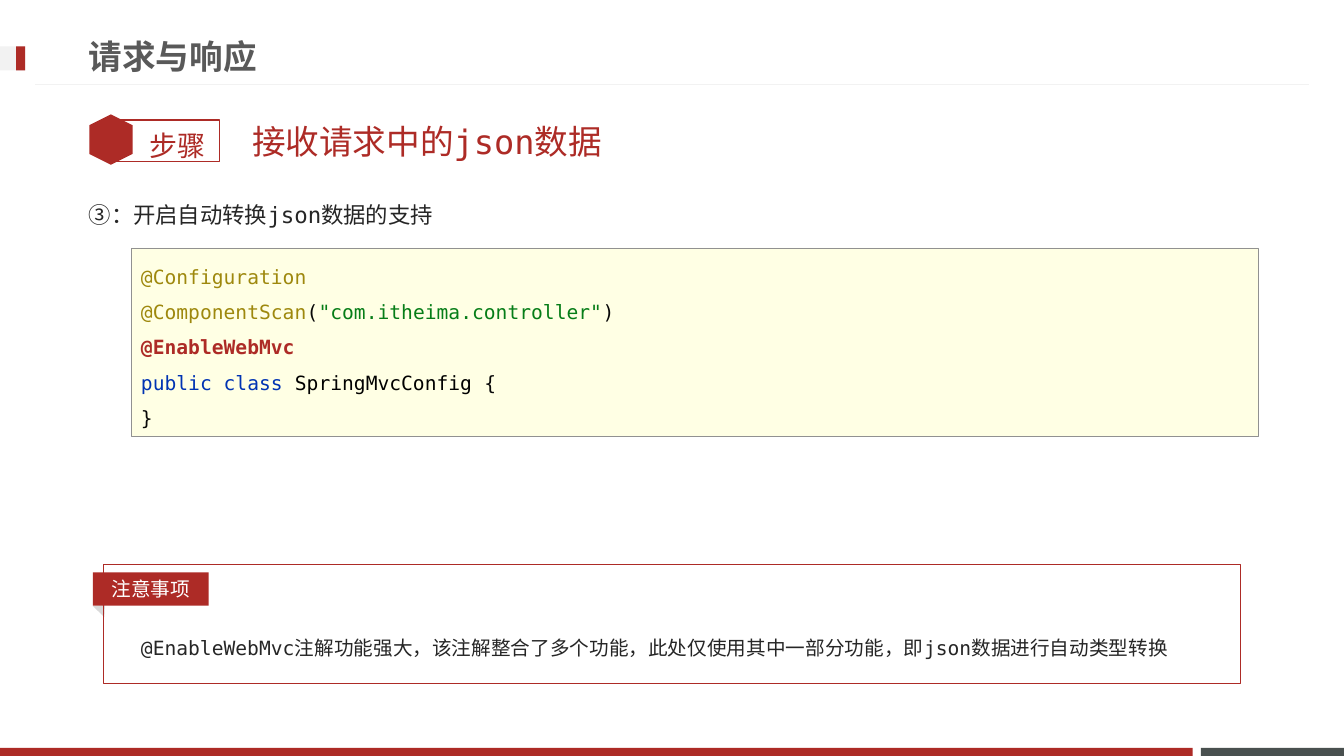
"""Build the slide on enabling automatic JSON conversion."""
import pptx
import pptx.dml.color
import pptx.enum.shapes
import pptx.enum.text
import pptx.oxml
import pptx.oxml.ns
import pptx.util

Inches = pptx.util.Inches
Pt = pptx.util.Pt
SHAPE = pptx.enum.shapes.MSO_SHAPE
ANCHOR = pptx.enum.text.MSO_ANCHOR
ALIGN = pptx.enum.text.PP_ALIGN
MONO = "DejaVu Sans Mono"
RED, INK, PALE, BLACK = "AD2B26", "262626", "F2F2F2", "080808"
OLIVE, GREEN, BLUE = "9E880D", "067D17", "0033B3"


def rgb(value):
    return pptx.dml.color.RGBColor.from_string(value)


def drawing_element(tag):
    namespace = pptx.oxml.ns.nsdecls("a")
    return pptx.oxml.parse_xml(f"<a:{tag} {namespace}/>")


class Deck:
    def __init__(self):
        self.prs = pptx.Presentation()
        self.prs.slide_width = Inches(13.33)
        self.prs.slide_height = Inches(7.5)
        self.slide = self.prs.slides.add_slide(self.prs.slide_layouts[3])

    def style(self, run, size, color, bold=False, font=MONO):
        run.font.name = font
        run.font.size = Pt(size)
        run.font.bold = bold
        run.font.color.rgb = rgb(color)

    def fill_text(self, sp, text, size, color, bold=False, font=MONO,
                  spacing=1, align=ALIGN.LEFT, anchor=ANCHOR.TOP):
        tf = sp.text_frame
        tf.text = text
        tf.word_wrap = True
        tf.auto_size = pptx.enum.text.MSO_AUTO_SIZE.NONE
        tf.vertical_anchor = anchor
        p = tf.paragraphs[0]
        p.alignment = align
        p.line_spacing = spacing
        self.style(p.runs[0], size, color, bold, font)
        return p

    def shape(self, kind, left, top, width, height, fill=None, line=None,
              weight=1, rotation=0):
        sp = self.slide.shapes.add_shape(
            kind, Inches(left), Inches(top), Inches(width), Inches(height))
        sp.shadow.inherit = False
        sp.rotation = rotation
        if fill:
            sp.fill.solid()
            sp.fill.fore_color.rgb = rgb(fill)
        else:
            sp.fill.background()
        if line:
            sp.line.color.rgb = rgb(line)
            sp.line.width = Pt(weight)
        else:
            sp.line.fill.background()
        return sp

    def rule(self, left, right, y, color, weight):
        line = self.slide.shapes.add_connector(
            pptx.enum.shapes.MSO_CONNECTOR.STRAIGHT,
            Inches(left), Inches(y), Inches(right), Inches(y))
        line.line.color.rgb = rgb(color)
        line.line.width = Pt(weight)
        line._element.spPr.append(drawing_element("effectLst"))

    def text(self, left, top, width, height, text, size, color, **options):
        sp = self.slide.shapes.add_textbox(
            Inches(left), Inches(top), Inches(width), Inches(height))
        self.fill_text(sp, text, size, color, **options)

    def placeholder(self, idx, left, top, width, height, text, size, color,
                    **options):
        sp = self.slide.placeholders[idx]
        sp.left, sp.top = Inches(left), Inches(top)
        sp.width, sp.height = Inches(width), Inches(height)
        p = self.fill_text(sp, text, size, color, **options)
        p.space_before = Pt(0)
        pPr = p._p.get_or_add_pPr()
        pPr.set("marL", "0")
        pPr.set("indent", "0")
        pPr.append(drawing_element("buNone"))

    def code(self, left, top, width, height, lines, size):
        sp = self.shape(SHAPE.RECTANGLE, left, top, width, height,
                        "FFFFE4", "919191", 0.25)
        tf = sp.text_frame
        tf.word_wrap = True
        tf.vertical_anchor = ANCHOR.TOP
        for number, line in enumerate(lines):
            p = tf.add_paragraph() if number else tf.paragraphs[0]
            p.alignment = ALIGN.LEFT
            p.line_spacing = 1.5
            for text, color in line:
                r = p.add_run()
                r.text = text
                self.style(r, size, color, bold=color == RED)


def main():
    deck = Deck()

    deck.shape(SHAPE.RECTANGLE, 11.91, 7.42, 1.42, 0.08, "49504F")
    deck.shape(SHAPE.RECTANGLE, 0, 7.42, 11.83, 0.08, RED)
    deck.rule(0.35, 12.98, 0.84, PALE, 0.75)
    deck.shape(SHAPE.RECTANGLE, 0, 0.46, 0.25, 0.24, PALE)
    deck.shape(SHAPE.RECTANGLE, 0.16, 0.46, 0.09, 0.24, RED)
    deck.placeholder(0, 0.78, 0.27, 9.59, 0.57, "请求与响应", 24, "595959",
                     bold=True, anchor=ANCHOR.MIDDLE)

    deck.shape(SHAPE.RECTANGLE, 1.09, 1.19, 1.09, 0.41, line=RED)
    deck.shape(SHAPE.HEXAGON, 0.85, 1.17, 0.5, 0.43, RED, rotation=90)
    deck.text(1.38, 1.06, 0.85, 0.56, "步骤", 20, RED,
              font="Roboto", spacing=1.5)
    deck.placeholder(1, 2.4, 1.11, 10.08, 0.57, "接收请求中的json数据",
                     24, RED, anchor=ANCHOR.MIDDLE)
    deck.placeholder(2, 0.78, 1.81, 10.08, 0.83,
                     "③：开启自动转换json数据的支持", 16, INK, spacing=1.5)

    deck.code(1.3, 2.46, 11.18, 1.87, [
        [("@Configuration", OLIVE)],
        [("@ComponentScan", OLIVE), ("(", BLACK),
         ('"com.itheima.controller"', GREEN), (")", BLACK)],
        [("@EnableWebMvc", RED)],
        [("public class ", BLUE), ("SpringMvcConfig ", "000000"),
         ("{", BLACK)],
        [("}", BLACK)],
    ], 14)

    deck.shape(SHAPE.ISOSCELES_TRIANGLE, 0.93, 5.99, 0.16, 0.09, "D9D9D9",
               rotation=44.2)
    deck.text(1.3, 6.14, 11, 0.45,
              "@EnableWebMvc注解功能强大，该注解整合了多个功能，"
              "此处仅使用其中一部分功能，即json数据进行自动类型转换",
              14, INK, spacing=1.5)
    deck.shape(SHAPE.RECTANGLE, 1.03, 5.6, 11.27, 1.18, line=RED, weight=0.75)
    tag = deck.shape(SHAPE.RECTANGLE, 0.92, 5.68, 1.15, 0.33, RED)
    deck.fill_text(tag, "注意事项", 14, "FFFFFF", align=ALIGN.CENTER,
                   anchor=ANCHOR.MIDDLE)

    deck.prs.save("out.pptx")


if __name__ == "__main__":
    main()
